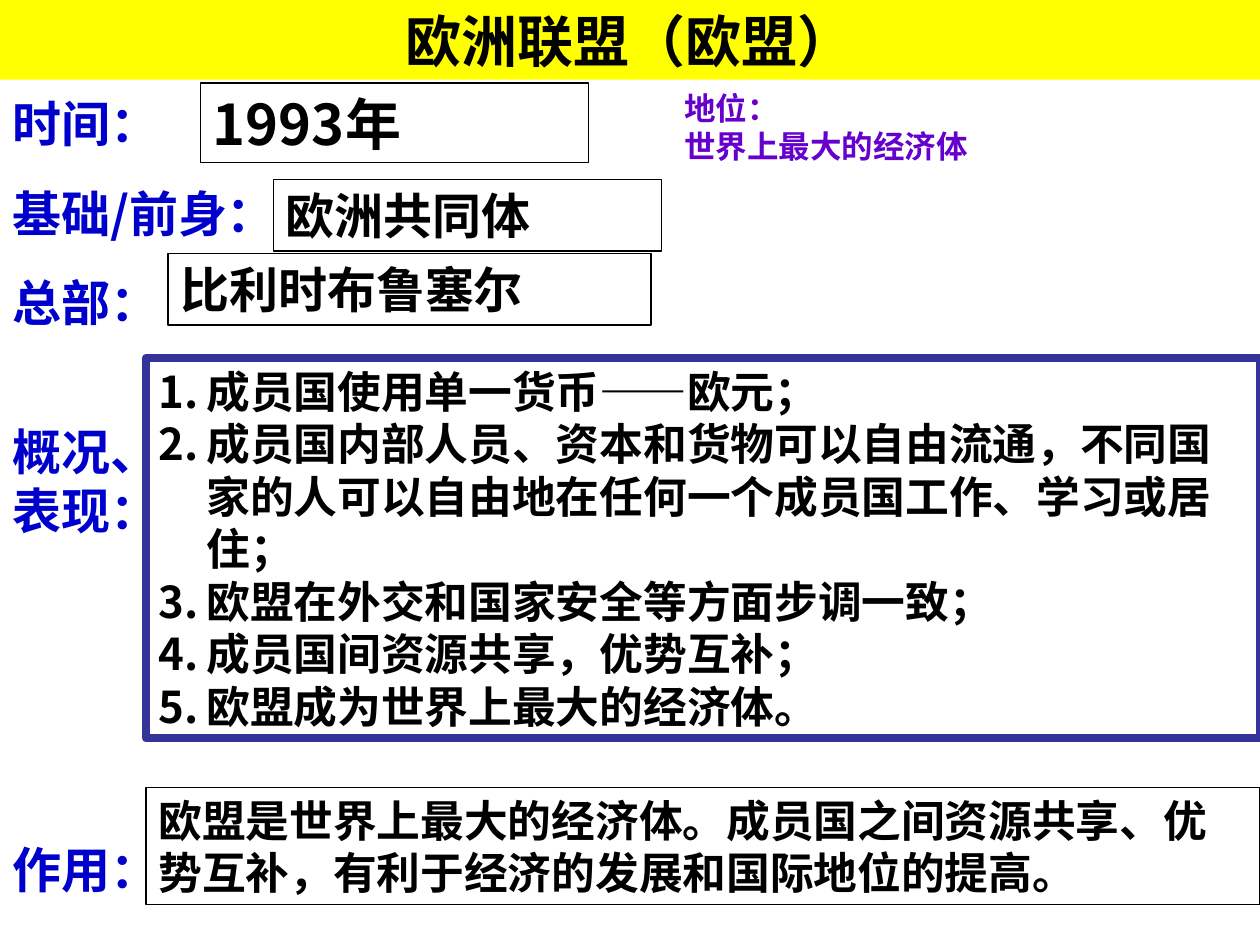
from dataclasses import dataclass

from lxml import etree
from pptx import Presentation
from pptx.dml.color import RGBColor
from pptx.enum.shapes import MSO_SHAPE
from pptx.enum.text import MSO_ANCHOR, PP_ALIGN
from pptx.oxml.ns import qn
from pptx.util import Pt

RECTANGLE = MSO_SHAPE.RECTANGLE
TOP, MIDDLE = MSO_ANCHOR.TOP, MSO_ANCHOR.MIDDLE
LEFT, CENTER = PP_ALIGN.LEFT, PP_ALIGN.CENTER


@dataclass(frozen=True)
class Theme:
    black: str = "000000"
    white: str = "FFFFFF"
    banner: str = "FFFF00"
    label: str = "0000CC"
    status: str = "6600CC"
    frame: str = "333399"
    cjk: str = "Noto Sans CJK SC"
    latin: str = "Arial"
    title_size: float = 32
    label_size: float = 28
    body_size: float = 25
    note_size: float = 18
    leading: float = 1.2
    number_indent: float = 27.4


THEME = Theme()
SLIDE_WIDTH, SLIDE_HEIGHT = 720, 540


def add_panel(slide, box, fill=None, line=None, line_width=0.75):
    panel = slide.shapes.add_shape(RECTANGLE, *map(Pt, box))
    panel.shadow.inherit = False
    if fill:
        panel.fill.solid()
        panel.fill.fore_color.rgb = RGBColor.from_string(fill)
    else:
        panel.fill.background()
    if line:
        panel.line.color.rgb = RGBColor.from_string(line)
        panel.line.width = Pt(line_width)
    else:
        panel.line.fill.background()
    return panel


def number_paragraph(paragraph):
    """Give the paragraph a hanging automatic number."""
    properties = paragraph._p.get_or_add_pPr()
    properties.set("marL", str(Pt(THEME.number_indent)))
    properties.set("indent", str(-Pt(THEME.number_indent)))
    etree.SubElement(properties, qn("a:buFont"), typeface=THEME.cjk)
    etree.SubElement(properties, qn("a:buAutoNum"), type="arabicPeriod")


def write_text(shape, lines, size, color=THEME.black, font=THEME.cjk, align=LEFT,
               anchor=MIDDLE, gaps=None, numbered=False, wrap=True):
    """Write one paragraph per line; gaps holds the space before each."""
    frame = shape.text_frame
    frame.word_wrap = wrap
    frame.vertical_anchor = anchor
    for index, line in enumerate(lines):
        paragraph = frame.paragraphs[0] if index == 0 else frame.add_paragraph()
        if numbered:
            number_paragraph(paragraph)
        paragraph.alignment = align
        paragraph.line_spacing = Pt(size * THEME.leading)
        paragraph.space_before = Pt(gaps[index] if gaps else 0)
        run = paragraph.add_run()
        run.text = line
        run.font.name = font
        run.font.size = Pt(size)
        run.font.bold = True
        run.font.color.rgb = RGBColor.from_string(color)
        etree.SubElement(run._r.get_or_add_rPr(), qn("a:ea"), typeface=THEME.cjk)


def add_title(slide, box):
    banner = add_panel(slide, box, fill=THEME.banner)
    write_text(banner, ["欧洲联盟（欧盟）"], THEME.title_size, align=CENTER)


def add_labels(slide, box):
    labels = {"时间：": 0, "基础/前身：": 17.5, "总部：": 17.5,
              "概况、": 51.5, "表现：": 0, "作用：": 171.5}
    column = add_panel(slide, box, fill=THEME.white)
    column.text_frame.margin_top = Pt(6)
    write_text(column, list(labels), THEME.label_size, color=THEME.label,
               anchor=TOP, gaps=list(labels.values()))


def add_answer(slide, box, answer, size):
    write_text(add_panel(slide, box, line=THEME.black), [answer], size)


def add_overview(slide, box):
    overview = add_panel(slide, box, line=THEME.frame, line_width=4.5)
    points = [
        "成员国使用单一货币——欧元；",
        "成员国内部人员、资本和货物可以自由流通，不同国家的人可以自由地在任何一个成员国工作、学习或居住；",
        "欧盟在外交和国家安全等方面步调一致；",
        "成员国间资源共享，优势互补；",
        "欧盟成为世界上最大的经济体。",
    ]
    write_text(overview, points, THEME.body_size, font=THEME.latin, numbered=True)


def add_status(slide, box):
    status = slide.shapes.add_textbox(*map(Pt, box))
    write_text(status, ["地位：", "世界上最大的经济体"], THEME.note_size,
               color=THEME.status, anchor=TOP, wrap=False)


def main():
    deck = Presentation()
    deck.slide_width, deck.slide_height = Pt(SLIDE_WIDTH), Pt(SLIDE_HEIGHT)
    slide = deck.slides.add_slide(deck.slide_layouts[6])

    content_left = 83.5
    content_width = SLIDE_WIDTH - content_left
    add_title(slide, (0, 0, SLIDE_WIDTH, 45.5))
    add_labels(slide, (0, 47.5, 180, 466))
    add_answer(slide, (114.5, 47.5, 222, 45.5), "1993年", THEME.title_size)
    add_answer(slide, (96, 144.7, 276, 41), "比利时布鲁塞尔", THEME.label_size)
    add_answer(slide, (156.2, 102.5, 222, 41), "欧洲共同体", THEME.label_size)
    add_overview(slide, (content_left, 204.5, content_width, 217.5))
    add_answer(slide, (content_left, 450, content_width, 67),
               "欧盟是世界上最大的经济体。成员国之间资源共享、优势互补，有利于经济的发展和国际地位的提高。",
               THEME.body_size)
    add_status(slide, (384, 47.5, 306, 132.5))
    deck.save("out.pptx")


if __name__ == "__main__":
    main()
